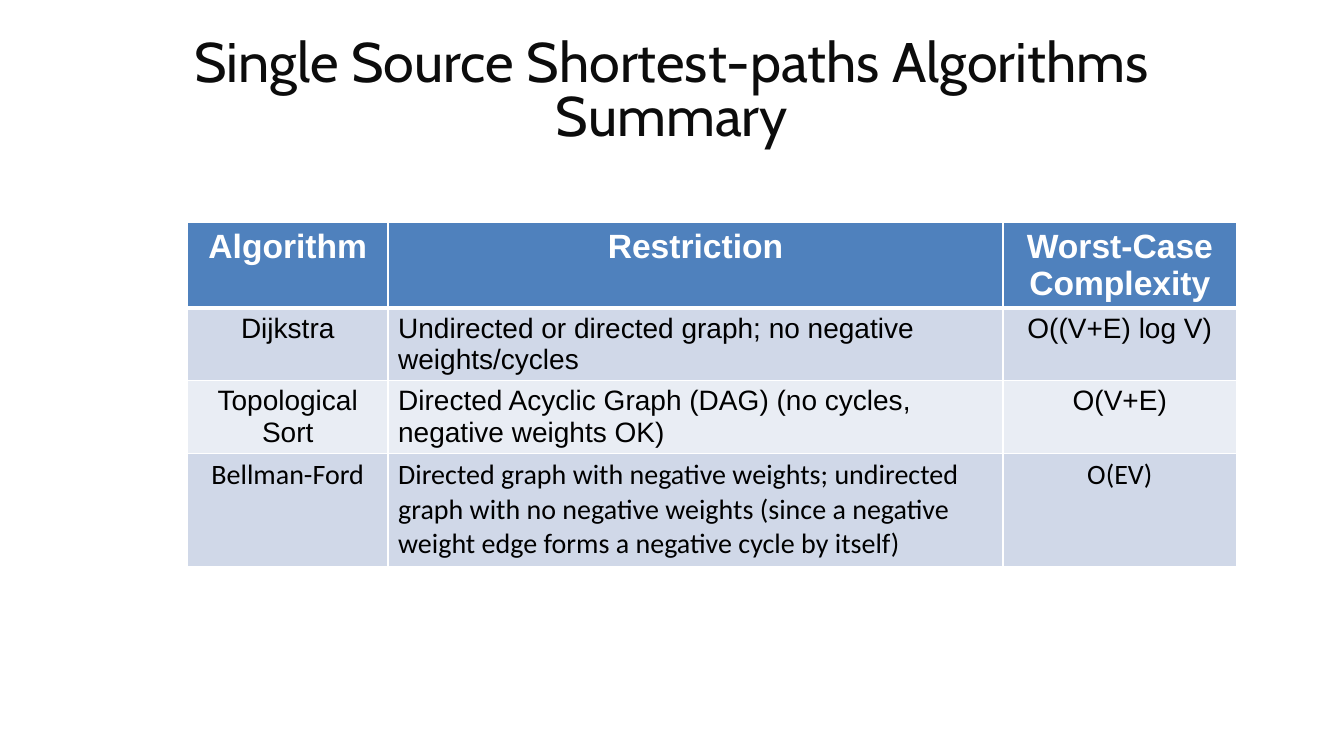
import pptx
import pptx.util
import pptx.dml.color
import pptx.enum.text
import pptx.oxml
import pptx.oxml.ns

Pt = pptx.util.Pt
RGBColor = pptx.dml.color.RGBColor
ALIGN = pptx.enum.text.PP_ALIGN
ANCHOR = pptx.enum.text.MSO_ANCHOR

TITLE = "Single Source Shortest-paths Algorithms Summary"
ROWS = [
    ("Algorithm", "Restriction", "Worst-Case Complexity"),
    ("Dijkstra", "Undirected or directed graph; no negative weights/cycles", "O((V+E) log V)"),
    ("Topological Sort", "Directed Acyclic Graph (DAG) (no cycles, negative weights OK)", "O(V+E)"),
    ("Bellman-Ford",
     "Directed graph with negative weights; undirected graph with no negative weights "
     "(since a negative weight edge forms a negative cycle by itself)",
     "O(EV)"),
]
COLORS = {"title": "0C0C0C", "header": "4F81BD", "odd": "D0D8E8", "even": "E9EDF4",
          "header_text": "FFFFFF", "text": "000000", "border": "FFFFFF"}
COLUMN_WIDTHS = [143.3, 439.2, 167]
ROW_HEIGHTS = [60, 51.6, 52, 80.4]
TABLE_LEFT, TABLE_TOP = 133.9, 159.1
TITLE_BOX = {"left": Pt(48), "top": Pt(21.6), "width": Pt(864), "height": Pt(90)}
TITLE_FRAME = {"word_wrap": True, "vertical_anchor": ANCHOR.MIDDLE,
               "auto_size": pptx.enum.text.MSO_AUTO_SIZE.NONE,
               "margin_left": Pt(14.4), "margin_right": Pt(14.4)}


def set_all(target, values):
    for name, value in values.items():
        setattr(target, name, value)


def set_font(font, color, **values):
    set_all(font, values)
    font.color.rgb = RGBColor.from_string(COLORS[color])


def set_borders(cell, widths):
    """Draw the cell's sides; widths are points keyed L, R, T, B."""
    properties = cell._tc.get_or_add_tcPr()
    for position, (side, width) in enumerate(widths.items()):
        line = pptx.oxml.parse_xml(
            f'<a:ln{side} {pptx.oxml.ns.nsdecls("a")} w="{int(Pt(width))}"><a:solidFill>'
            f'<a:srgbClr val="{COLORS["border"]}"/></a:solidFill></a:ln{side}>')
        properties.insert(position, line)


def add_title(page):
    box = page.shapes.title
    set_all(box, TITLE_BOX)
    set_all(box.text_frame, TITLE_FRAME)
    box.text_frame.text = TITLE
    para = box.text_frame.paragraphs[0]
    set_all(para, {"alignment": ALIGN.CENTER, "line_spacing": 0.8})
    set_font(para.runs[0].font, "title", name="Cabin", size=Pt(39.8), bold=False)


def add_summary_table(page):
    table = page.shapes.add_table(
        len(ROWS), len(COLUMN_WIDTHS), Pt(TABLE_LEFT), Pt(TABLE_TOP),
        Pt(sum(COLUMN_WIDTHS)), Pt(sum(ROW_HEIGHTS))).table
    for column, width in zip(table.columns, COLUMN_WIDTHS):
        column.width = Pt(width)
    for row, height in zip(table.rows, ROW_HEIGHTS):
        row.height = Pt(height)

    for r, texts in enumerate(ROWS):
        header = r == 0
        fill = "header" if header else "odd" if r % 2 else "even"
        font_name = "Calibri" if r == len(ROWS) - 1 else "Arial"
        for c, text in enumerate(texts):
            cell = table.cell(r, c)
            cell.text = text
            cell.fill.solid()
            cell.fill.fore_color.rgb = RGBColor.from_string(COLORS[fill])
            set_borders(cell, {"L": 1, "R": 1, "T": 3 if r == 1 else 1, "B": 3 if header else 1})
            para = cell.text_frame.paragraphs[0]
            para.alignment = ALIGN.LEFT if c == 1 and not header else ALIGN.CENTER
            set_font(para.runs[0].font, "header_text" if header else "text",
                     name=font_name, size=Pt(24 if header else 20), bold=header)


def main():
    deck = pptx.Presentation()
    set_all(deck, {"slide_width": Pt(960), "slide_height": Pt(540)})
    page = deck.slides.add_slide(deck.slide_layouts.get_by_name("Title Only"))
    add_title(page)
    add_summary_table(page)
    deck.save("out.pptx")


if __name__ == "__main__":
    main()
